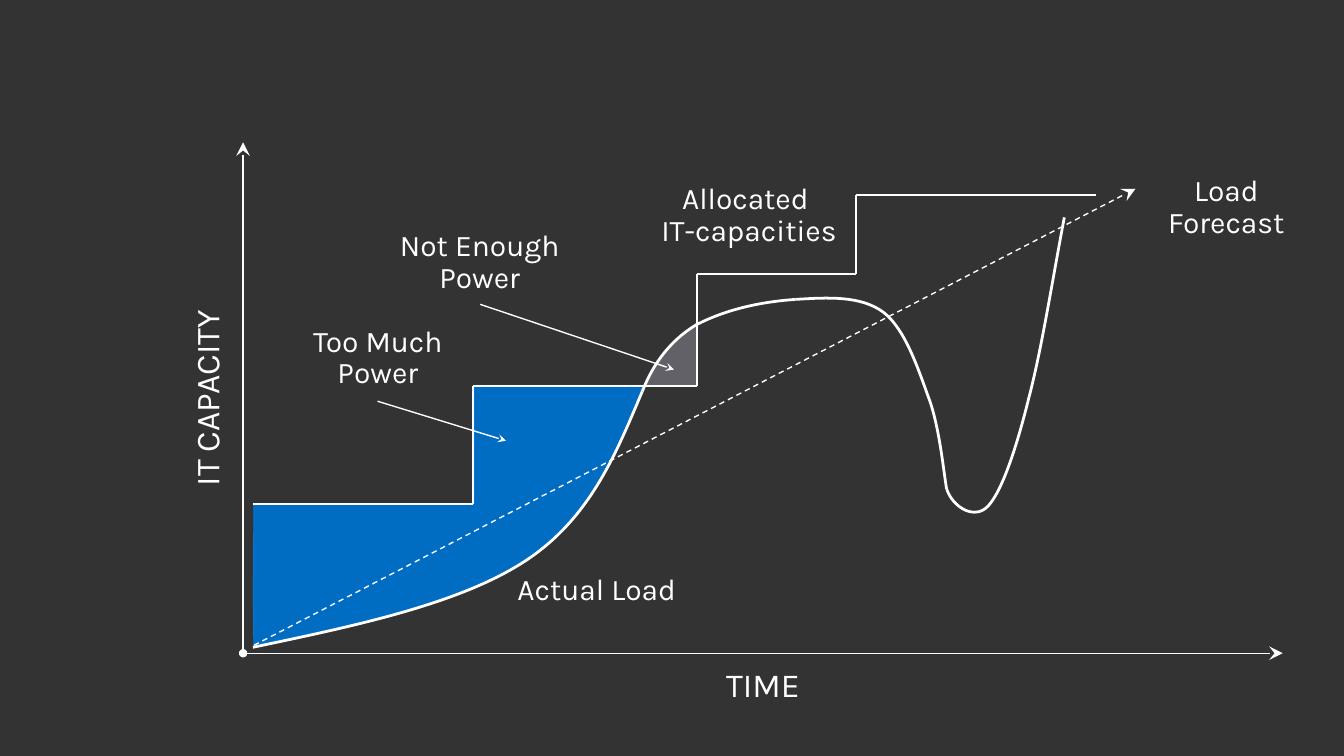
from itertools import pairwise

from lxml.etree import SubElement
from pptx import Presentation
from pptx.dml.color import RGBColor
from pptx.enum.dml import MSO_LINE
from pptx.enum.shapes import MSO_CONNECTOR
from pptx.enum.text import MSO_ANCHOR, PP_ALIGN
from pptx.oxml.ns import qn
from pptx.util import Inches, Pt

COLORS = {
    "back": "333333",
    "white": "FFFFFF",
    "blue": "006DC3",
    "blue edge": "0078D7",
    "gray": "636168",
    "gray edge": "6E6D71",
}
COLORS = {name: RGBColor.from_string(code) for name, code in COLORS.items()}


def add_line(shapes, start, end, width, head=None, tail=None, size="med"):
    ends = [Inches(n) for n in (*start, *end)]
    line = shapes.add_connector(MSO_CONNECTOR.STRAIGHT, *ends)
    line.line.color.rgb = COLORS["white"]
    line.line.width = Pt(width)
    props = line._element.spPr
    edge = props.find(qn("a:ln"))
    if head:
        SubElement(edge, qn("a:headEnd"), type=head)
    if tail:
        SubElement(edge, qn("a:tailEnd"), type=tail, w=size, len=size)
    SubElement(props, qn("a:effectLst"))
    return line


def add_outline(shapes, start, parts, edge, width, fill=None):
    """Draw parts of one point as lines and parts of three points as curves."""
    points = [[Inches(n) for n in point] for part in parts for point in part]
    pen = shapes.build_freeform(*[Inches(n) for n in start], scale=1.0)
    pen.add_line_segments(points, close=fill is not None)
    shape = pen.convert_to_shape()
    steps = iter(list(shape._element.iter(qn("a:lnTo"))))
    for part in parts:
        first = next(steps)
        if len(part) == 3:
            first.tag = qn("a:cubicBezTo")
            for step in (next(steps), next(steps)):
                first.append(step[0])
                step.getparent().remove(step)
    shape.shadow.inherit = False
    shape.line.color.rgb = COLORS[edge]
    shape.line.width = Pt(width)
    if fill:
        shape.fill.solid()
        shape.fill.fore_color.rgb = COLORS[fill]
    else:
        shape.fill.background()


deck = Presentation()
deck.slide_width, deck.slide_height = Inches(13.6), Inches(7.65)
slide = deck.slides.add_slide(deck.slide_layouts[6])
slide.background.fill.solid()
slide.background.fill.fore_color.rgb = COLORS["back"]
shapes = slide.shapes

# Areas between capacity and load
add_outline(shapes, (7.05, 3.91), [
    [(7.05, 3.75), (7.05, 3.43), (7.06, 3.3)],
    [(6.91, 3.34), (6.59, 3.64), (6.53, 3.91)],
], "gray edge", 0.75, "gray")
add_outline(shapes, (2.57, 6.53), [
    [(2.56, 6.06), (2.57, 5.4), (2.57, 5.1)],
    [(4.8, 5.1)],
    [(4.8, 4.58), (4.8, 4.29), (4.8, 3.9)],
    [(6.5, 3.9)],
    [(6.31, 4.51), (5.92, 5.31), (5.23, 5.73)],
    [(4.45, 6.16), (3.38, 6.37), (2.57, 6.53)],
], "blue edge", 0.75, "blue")

# Allocated capacity
stairs = shapes.add_group_shape()
corners = [(2.56, 5.1), (4.79, 5.1), (4.79, 3.91), (7.05, 3.91),
           (7.05, 2.77), (8.66, 2.77), (8.66, 1.97), (11.09, 1.97)]
for start, end in pairwise(corners):
    add_line(stairs.shapes, start, end, 1.5)

# Axes and forecast
origin = (2.46, 6.61)
for end in ((12.98, 6.61), (2.46, 1.44)):
    add_line(shapes, origin, end, 1, "oval", "stealth", "lg")
forecast = add_line(shapes, (2.57, 6.53), (11.49, 1.91), 1, tail="stealth", size="lg")
forecast.line.dash_style = MSO_LINE.DASH

# Actual load
loads = [
    ((2.56, 6.55), [
        [(3.61, 6.33), (4.65, 6.11), (5.31, 5.68)],
        [(5.97, 5.25), (6.23, 4.6), (6.5, 3.96)],
    ]),
    ((6.5, 3.96), [
        [(6.61, 3.68), (6.78, 3.45), (7.04, 3.29)],
        [(7.29, 3.16), (7.62, 3.06), (8.05, 3.03)],
    ]),
    ((8.05, 3.03), [
        [(8.38, 3.01), (8.71, 2.99), (8.94, 3.16)],
        [(9.17, 3.34), (9.3, 3.76), (9.41, 4.06)],
        [(9.51, 4.35), (9.55, 4.78), (9.58, 4.95)],
    ]),
    ((9.58, 4.95), [
        [(9.64, 5.13), (9.86, 5.27), (10, 5.12)],
        [(10.14, 4.97), (10.29, 4.52), (10.41, 4.03)],
        [(10.54, 3.54), (10.65, 2.83), (10.77, 2.2)],
    ]),
]
for start, parts in loads:
    add_outline(shapes, start, parts, "white", 2)

# Text: words, place, size, side inset, wrap, turn, anchor
top, middle = MSO_ANCHOR.TOP, MSO_ANCHOR.MIDDLE
labels = [
    ("TIME", (6.71, 6.65, 2.02, 0.41), 24.5, 0.14, False, 0, top),
    ("IT CAPACITY", (0.89, 3.75, 2.4, 0.56), 24.5, 0.14, False, 270, top),
    ("Actual Load", (5.16, 5.68, 1.76, 0.56), 21.8, 0, True, 0, middle),
    ("Allocated \nIT-capacities", (6.61, 1.75, 1.94, 0.87), 21.8, 0, True, 0, middle),
    ("Too Much Power", (2.91, 3.19, 1.83, 0.87), 21.8, 0, True, 0, middle),
    ("Not Enough Power", (3.67, 2.22, 2.37, 0.87), 21.8, 0, True, 0, middle),
    ("Load Forecast", (11.39, 1.71, 2.04, 0.46), 21.8, 0.14, True, 0, top),
]
for words, place, size, inset, wrap, turn, anchor in labels:
    box = shapes.add_textbox(*[Inches(n) for n in place])
    box.rotation = turn
    frame = box.text_frame
    frame.word_wrap = wrap
    frame.vertical_anchor = anchor
    frame.margin_left = frame.margin_right = Inches(inset)
    frame.margin_top = frame.margin_bottom = Inches(0.07)
    para = frame.paragraphs[0]
    para.text = words
    para.alignment = PP_ALIGN.CENTER
    if wrap and words != "Actual Load":
        para.line_spacing = Pt(23.1)
    para.font.name = "Karla"
    para.font.size = Pt(size)
    para.font.color.rgb = COLORS["white"]

# Pointers from labels to areas
for start, end in (((4.86, 3.08), (6.82, 3.74)), ((3.82, 4.06), (5.12, 4.46))):
    add_line(shapes, start, end, 1, tail="stealth")

deck.save("out.pptx")
